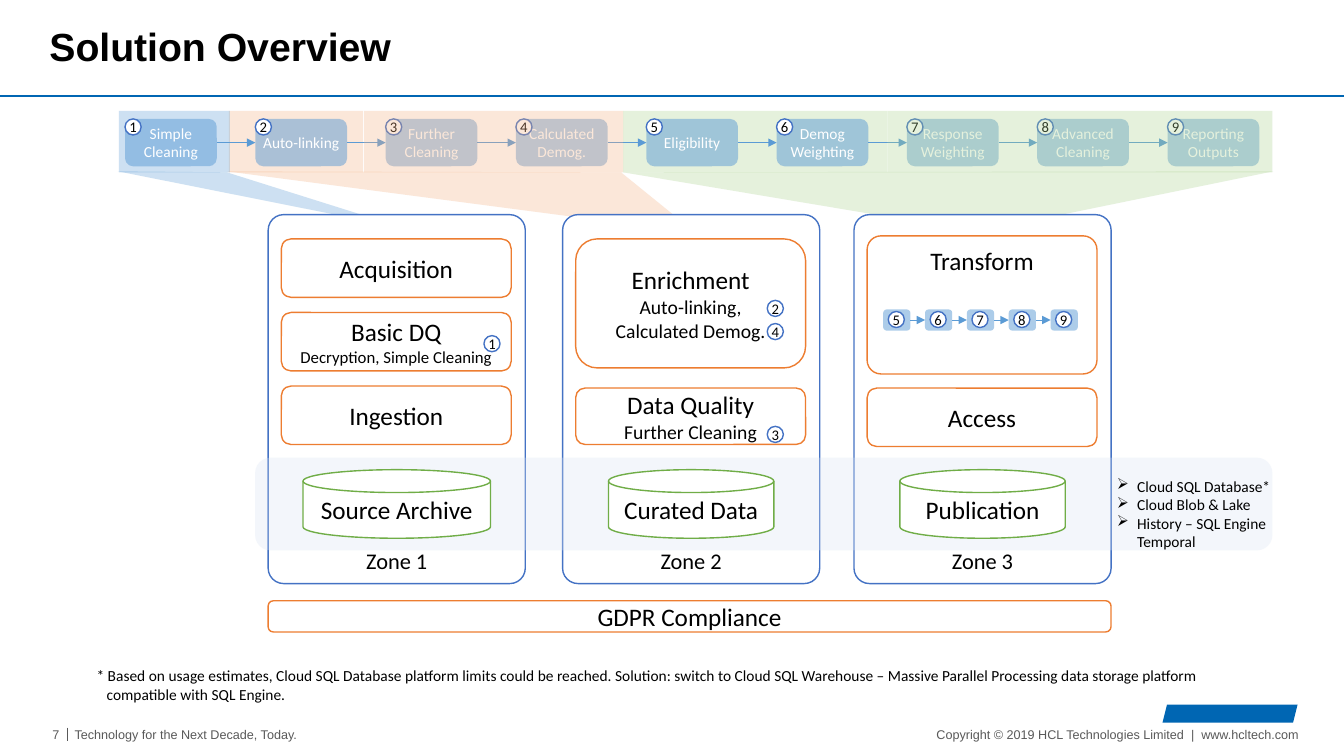
from lxml import etree
from pptx import Presentation
from pptx import util as u
from pptx.dml.color import RGBColor
from pptx.enum import shapes, text
from pptx.oxml.ns import qn


class Theme:
    rule, grey, black, white = "0066B3", "595959", "000000", "FFFFFF"
    blue, orange, green = "5B9BD5", "F4B183", "A9D18E"
    zone_line, card_line, store_line, strip = "4472C4", "ED7D31", "70AD47", "DAE3F3"
    body, heading = "Calibri", "Arial"
    title, card, zone, detail, note, badge, footer = 28, 18, 16, 14, 11, 10.5, 9


T = Theme
G = shapes.MSO_SHAPE
A = text.MSO_ANCHOR
LEFT, CENTER, RIGHT = text.PP_ALIGN.LEFT, text.PP_ALIGN.CENTER, text.PP_ALIGN.RIGHT
ROUND = G.ROUNDED_RECTANGLE

prs = Presentation()
prs.slide_width, prs.slide_height = u.Inches(13.33), u.Inches(7.5)
s = prs.slides.add_slide(prs.slide_layouts[5])


def block(geom, *at, fill=T.white, alpha=100, line=None, adj=None):
    """Draw a preset shape, or a closed outline when geom is a list of points."""
    if isinstance(geom, list):
        pts = [(u.Inches(x), u.Inches(y)) for x, y in geom]
        fb = s.shapes.build_freeform(*pts[0], scale=1.0)
        fb.add_line_segments(pts[1:], close=True)
        sp = fb.convert_to_shape()
    else:
        sp = s.shapes.add_shape(geom, *map(u.Inches, at))
    sp.shadow.inherit = False
    sp.fill.solid()
    sp.fill.fore_color.rgb = RGBColor.from_string(fill)
    if alpha < 100:
        clr = sp._element.spPr.find(".//" + qn("a:srgbClr"))
        etree.SubElement(clr, qn("a:alpha"), val=str(alpha * 1000))
    if line:
        sp.line.color.rgb = RGBColor.from_string(line)
        sp.line.width = u.Pt(1)
    else:
        sp.line.fill.background()
    if adj is not None:
        sp.adjustments[0] = adj
    return sp


def write(sp, words, size=T.card, sub=None, color=T.black, font=T.body, bold=False,
          align=CENTER, anchor=A.MIDDLE, ins=(0.1, 0.05), wrap=True, hang=0, bullet=None):
    """Fill a shape: \\n starts a paragraph, \\v a line of it in size sub."""
    tf = sp.text_frame
    tf.word_wrap, tf.vertical_anchor = wrap, anchor
    tf.auto_size = text.MSO_AUTO_SIZE.NONE
    tf.margin_left = tf.margin_right = u.Inches(ins[0])
    tf.margin_top = tf.margin_bottom = u.Inches(ins[1])
    for i, para in enumerate(words.split("\n")):
        p = tf.add_paragraph() if i else tf.paragraphs[0]
        p.alignment = align
        if hang:
            pPr = p._p.get_or_add_pPr()
            pPr.set("marL", str(u.Inches(hang)))
            pPr.set("indent", str(-u.Inches(hang)))
            if bullet:
                etree.SubElement(pPr, qn("a:buChar"), char=bullet)
        for j, row in enumerate(para.split("\v")):
            pt = sub if j else size
            if j:
                p.add_line_break()
                etree.SubElement(p._p[-1], qn("a:rPr"), sz=str(int(pt * 100)))
            r = p.add_run()
            r.text = row
            r.font.size, r.font.name, r.font.bold = u.Pt(pt), font, bold
            r.font.color.rgb = RGBColor.from_string(color)


# Title
title = s.shapes.title
title.left, title.top, title.width, title.height = map(u.Inches, (0.44, 0.06, 12.44, 0.79))
write(title, "Solution Overview", T.title, font=T.heading, bold=True, align=LEFT, ins=(0.05, 0.05))

# Funnels from the pipeline to the zones
for points, color in [
    ([(6.18, 1.71), (9.7, 2.3), (12.63, 1.7)], T.green),
    ([(2.25, 1.7), (6.9, 2.31), (6.16, 1.71)], T.orange),
    ([(1.17, 1.7), (4.03, 2.27), (2.25, 1.71)], T.blue),
]:
    block(points, fill=color, alpha=30)

# Pipeline bands: the last two lie over their steps and fade them
band_top, band_h = 1.1, 0.61
bands = [(6.18, 2.62, T.green), (2.27, 1.33, T.orange), (1.18, 1.1, T.blue),
         (3.61, 2.57, T.orange), (8.8, 3.82, T.green)]
for x, w, color in bands[:3]:
    block(G.RECTANGLE, x, band_top, w, band_h, fill=color, alpha=30)

# Zones with their cards: top, height, words, further format
zone_top, zone_w, zone_h, card_w, card_h = 2.13, 2.55, 3.66, 2.28, 0.58
zones = [
    (2.66, "Zone 1", "Source Archive", 1.86, [
        (2.37, card_h, "Acquisition", {}),
        (3.1, card_h, "Basic DQ\vDecryption, Simple Cleaning", {"sub": 12}),
        (3.83, card_h, "Ingestion", {})]),
    (5.58, "Zone 2", "Curated Data", 1.64, [
        (2.37, 1.28, "Enrichment\vAuto-linking,\vCalculated Demog.", {"sub": T.detail}),
        (3.85, 0.56, "Data Quality\vFurther Cleaning", {"sub": T.detail})]),
    (8.47, "Zone 3", "Publication", 1.64, [
        (2.34, 1.37, "Transform", {"anchor": A.TOP}),
        (3.85, card_h, "Access", {})]),
]
for x, name, store, store_w, cards in zones:
    sp = block(ROUND, x, zone_top, zone_w, zone_h, line=T.zone_line, adj=0.06)
    write(sp, name, T.zone, anchor=A.BOTTOM)
    for y, h, words, fmt in cards:
        sp = block(ROUND, x + 0.13, y, card_w, h, line=T.card_line,
                   adj=0.1 if words == "Transform" else None)
        write(sp, words, **fmt)
block(ROUND, 2.53, 4.54, 10.09, 0.92, fill=T.strip, alpha=30)
for x, name, store, store_w, cards in zones:
    sp = block(G.FLOWCHART_MAGNETIC_DISK, x + (zone_w - store_w) / 2, 4.66, store_w, 0.68,
               line=T.store_line)
    write(sp, store)
write(block(ROUND, 2.66, 5.96, 8.36, 0.31, line=T.card_line), "GDPR Compliance")

# Step chains: the pipeline on top and its short form in Transform
lines, badges = [], []
steps = ["Simple Cleaning", "Auto-linking", "Further Cleaning", "Calculated Demog.",
         "Eligibility", "Demog Weighting", "Response Weighting", "Advanced Cleaning",
         "Reporting Outputs"]
for names, first, x0, pitch, y, w, h, dx, dy in [
    (steps, 1, 1.24, 10.34 / 8, 1.18, 0.91, 0.47, 0, 0),
    ([""] * 5, 5, 8.76, 1.66 / 4, 3.07, 0.27, 0.21, 0.05, 0.02),
]:
    last = None
    for i, name in enumerate(names):
        x = x0 + i * pitch
        sp = block(ROUND, x, y, w, h, fill=T.blue, alpha=50)
        if name:
            write(sp, name, T.note, color=T.white, ins=(0, 0.05))
        if last:
            cn = s.shapes.add_connector(shapes.MSO_CONNECTOR.STRAIGHT, 0, 0, 0, 0)
            cn.begin_connect(last, 3)
            cn.end_connect(sp, 1)
            lines.append((cn, T.blue, 0.5, True))
        badges.append((first + i, x + dx, y + dy))
        last = sp

# Numbered badges
badges += [(1, 4.8, 3.33), (2, 7.61, 2.98), (4, 7.61, 3.21), (3, 7.61, 4.23)]
for number, x, y in badges:
    sp = block(G.OVAL, x, y, 0.16, 0.16, line=T.zone_line)
    write(sp, str(number), T.badge, ins=(0, 0), wrap=False)
for x, w, color in bands[3:]:
    block(G.RECTANGLE, x, band_top, w, band_h, fill=color, alpha=30)

# Notes and footer
foot = dict(size=T.footer, color=T.grey, font=T.heading, ins=(0, 0), wrap=False)
note = dict(size=T.note, align=LEFT, anchor=A.TOP)
for at, words, fmt in [
    ((10.98, 4.68, 1.79, 0.84),
     "Cloud SQL Database*\nCloud Blob & Lake\nHistory – SQL Engine Temporal",
     dict(note, hang=0.2, bullet="➢")),
    ((0.86, 6.56, 11.77, 0.47),
     "* Based on usage estimates, Cloud SQL Database platform limits could be reached. "
     "Solution: switch to Cloud SQL Warehouse – Massive Parallel Processing data storage "
     "platform compatible with SQL Engine.", dict(note, hang=0.1)),
    ((0.44, 7.21, 0.15, 0.15), "7", dict(foot, align=RIGHT)),
    ((0.74, 7.21, 2.27, 0.15), "Technology for the Next Decade, Today.", dict(foot, align=LEFT)),
    ((9.23, 7.21, 3.65, 0.15), "Copyright © 2019 HCL Technologies Limited  |  www.hcltech.com",
     dict(foot, align=RIGHT)),
]:
    write(s.shapes.add_textbox(*map(u.Inches, at)), words, **fmt)
block(G.PARALLELOGRAM, 11.53, 6.99, 1.34, 0.18, fill=T.rule)

# Rules, then one finish for every line
for ends, color, width in [((0, 0.95, 13.33, 0.95), T.rule, 1.5),
                           ((0.67, 7.22, 0.67, 7.35), T.grey, 0.75)]:
    cn = s.shapes.add_connector(shapes.MSO_CONNECTOR.STRAIGHT, *map(u.Inches, ends))
    lines.append((cn, color, width, False))
for cn, color, width, arrow in lines:
    cn.line.color.rgb = RGBColor.from_string(color)
    cn.line.width = u.Pt(width)
    spPr = cn._element.spPr
    if arrow:
        etree.SubElement(spPr.find(qn("a:ln")), qn("a:tailEnd"), type="triangle")
    etree.SubElement(spPr, qn("a:effectLst"))

prs.save("out.pptx")
